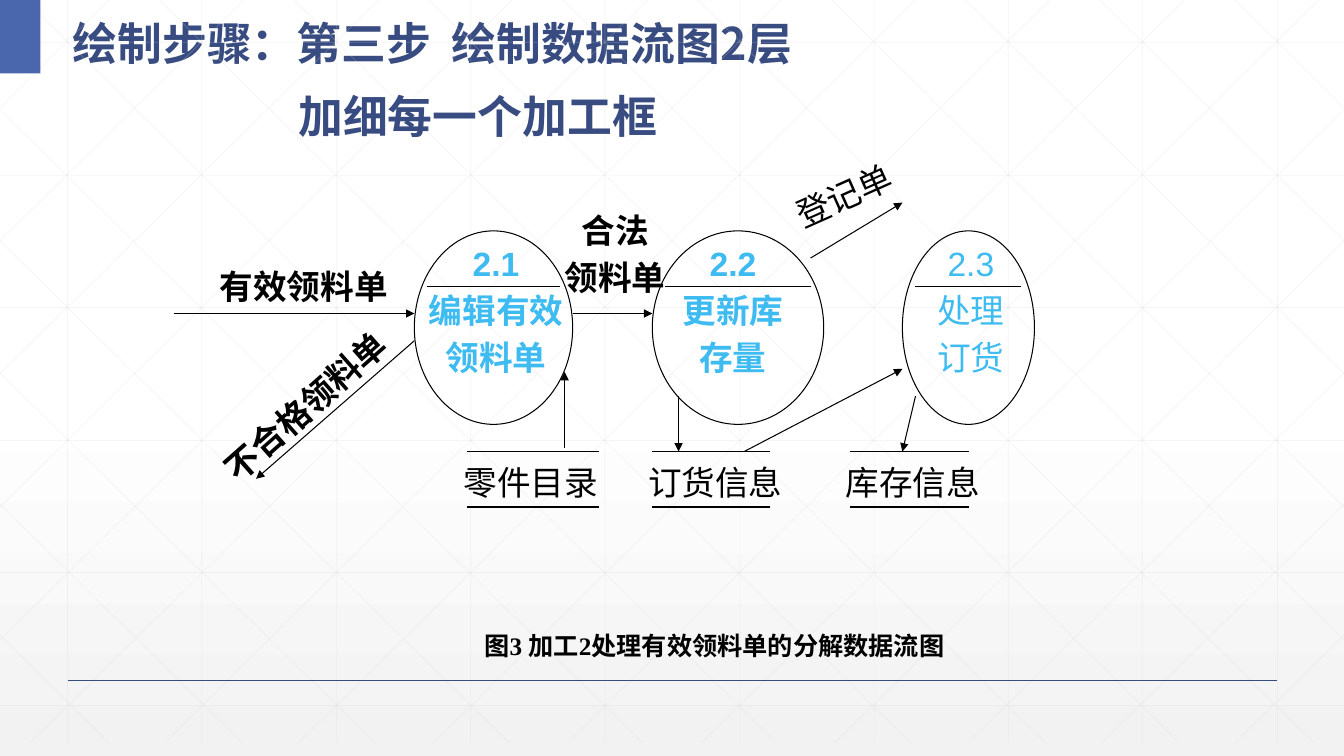
from dataclasses import dataclass

from lxml import etree
from pptx import Presentation
from pptx.dml.color import RGBColor
from pptx.enum.shapes import MSO_CONNECTOR, MSO_SHAPE
from pptx.enum.text import MSO_ANCHOR, MSO_AUTO_SIZE, PP_ALIGN
from pptx.oxml import parse_xml
from pptx.oxml.ns import nsdecls, qn
from pptx.util import Emu, Pt

STRAIGHT = MSO_CONNECTOR.STRAIGHT
RECT, OVAL = MSO_SHAPE.RECTANGLE, MSO_SHAPE.OVAL
LEFT, CENTER = PP_ALIGN.LEFT, PP_ALIGN.CENTER
TOP, MIDDLE = MSO_ANCHOR.TOP, MSO_ANCHOR.MIDDLE

PX = 9144
WIDTH, HEIGHT = 1333, 750
GRID_BOTTOM = 737
BLACK, NAVY, BLUE, SKY, GREY = "000000", "384C81", "4A66AC", "3EBBF0", "D9D9D9"
CJK = "Noto Sans CJK SC"
HEADING = {"size": Pt(32), "bold": True, "name": CJK}
CAPTION = {"size": Pt(18), "bold": True, "name": "Times New Roman"}
STRONG = {"size": Pt(24), "bold": True, "name": "Arial"}
PLAIN = {"size": Pt(24), "bold": False, "name": "Arial"}


@dataclass
class Label:
    box: tuple[int, int, int, int]
    lines: list[str]
    style: dict
    color: str = BLACK
    align: PP_ALIGN = CENTER
    rotation: float = 0


@dataclass
class Process:
    oval: tuple[int, int]
    rule: tuple[int, int]
    text: tuple[int, int]
    lines: list[str]
    style: dict


@dataclass
class Store:
    rule: tuple[int, int]
    text: tuple[int, int]
    name: str


LABELS = [
    Label((295, 620, 827, 39), ["图3 加工2处理有效领料单的分解数据流图"], CAPTION),
    Label((208, 259, 192, 50), ["有效领料单"], STRONG, align=LEFT),
    Label((547, 203, 126, 98), ["合法", "领料单"], STRONG),
    Label((774, 169, 126, 50), ["登记单"], PLAIN, rotation=336),
    Label((185, 378, 236, 50), ["不合格领料单"], STRONG, rotation=318.5),
]
PROCESSES = [
    Process((411, 157), (424, 555), (412, 160), ["2.1", "编辑有效", "领料单"], STRONG),
    Process((647, 170), (660, 804), (664, 126), ["2.2", "更新库", "存量"], STRONG),
    Process((895, 131), (908, 1013), (900, 126), ["2.3", "处理", "订货"], PLAIN),
]
STORES = [
    Store((463, 594), (450, 168), "零件目录"),
    Store((647, 764), (633, 160), "订货信息"),
    Store((843, 961), (829, 160), "库存信息"),
]
FLOWS = [
    (908, 393, 895, 448),
    (738, 448, 895, 366),
    (173, 311, 411, 311),
    (568, 311, 647, 311),
    (804, 256, 895, 201),
    (411, 338, 254, 475),
    (673, 393, 673, 448),
    (560, 444, 560, 369),
]


def px(n: float) -> Emu:
    return Emu(round(n) * PX)


def rgb(color: str) -> RGBColor:
    return RGBColor.from_string(color)


def add_line(s, ends: tuple, color: str = BLACK, width: float = 0.75,
             alpha: int = 100, arrow: bool = False) -> None:
    c = s.shapes.add_connector(STRAIGHT, *map(px, ends))
    c.line.color.rgb = rgb(color)
    c.line.width = Pt(width)
    pr = c._element.spPr
    if alpha < 100:
        tint = pr.find(".//" + qn("a:srgbClr"))
        etree.SubElement(tint, qn("a:alpha")).set("val", str(alpha * 1000))
    if arrow:
        etree.SubElement(pr.find(qn("a:ln")), qn("a:tailEnd")).set("type", "triangle")
    etree.SubElement(pr, qn("a:effectLst"))


def add_run(p, text: str, style: dict, color: str, spacing: int = 0) -> None:
    r = p.add_run()
    r.text = text
    for key, value in style.items():
        setattr(r.font, key, value)
    r.font.color.rgb = rgb(color)
    pr = r._r.get_or_add_rPr()
    ea = etree.Element(qn("a:ea"))
    ea.set("typeface", CJK)
    pr.find(qn("a:latin")).addnext(ea)
    if spacing:
        pr.set("spc", str(spacing))


def set_frame(tf, anchor: MSO_ANCHOR) -> None:
    frame = {"word_wrap": True, "auto_size": MSO_AUTO_SIZE.NONE, "vertical_anchor": anchor}
    for key, value in frame.items():
        setattr(tf, key, value)


def add_label(s, label: Label) -> None:
    sp = s.shapes.add_textbox(*map(px, label.box))
    sp.rotation = label.rotation
    tf = sp.text_frame
    set_frame(tf, TOP)
    for i, text in enumerate(label.lines):
        p = tf.add_paragraph() if i else tf.paragraphs[0]
        p.alignment = label.align
        p.space_before = Pt(4.8 if i else 0)
        add_run(p, text, label.style, label.color)


def add_background(s) -> None:
    s.background.fill.solid()
    pr = s.background._cSld.bg.bgPr
    pr.replace(pr[0], parse_xml(
        f'<a:gradFill {nsdecls("a")} rotWithShape="1"><a:gsLst>'
        '<a:gs pos="0"><a:srgbClr val="FFFFFF"/></a:gs>'
        '<a:gs pos="53000"><a:srgbClr val="FFFFFF"/></a:gs>'
        '<a:gs pos="100000"><a:srgbClr val="F2F2F2"><a:alpha val="65000"/></a:srgbClr></a:gs>'
        '</a:gsLst><a:lin ang="5400000" scaled="0"/></a:gradFill>'))
    step = WIDTH / 10
    grid = [(67 + step * i, 0, 67 + step * i, GRID_BOTTOM) for i in range(10)]
    grid += [(0, 42 + 131.6 * i, WIDTH, 42 + 131.6 * i) for i in range(6)]
    slopes = []
    for i in range(10):
        x = 25 + step * i
        run = min(745, WIDTH - x)
        slopes.append((x, 0, x + run, run * GRID_BOTTOM / 745))
    slopes += [(637 - 132.25 * i, GRID_BOTTOM, 0, 109 + 130.25 * i) for i in range(5)]
    mirrored = [(WIDTH - x1, y1, WIDTH - x2, y2) for x1, y1, x2, y2 in slopes]
    for ends in grid + slopes + mirrored:
        add_line(s, ends, GREY, 0.5, 25)
    add_line(s, (67, 675, 1267, 675), NAVY, 1)
    sp = s.shapes.add_shape(RECT, 0, 0, px(40), px(73))
    sp.shadow.inherit = False
    sp.fill.solid()
    sp.fill.fore_color.rgb = rgb(BLUE)
    sp.line.fill.background()


def add_heading(sp, box: tuple, runs: list) -> None:
    sp.left, sp.top, sp.width, sp.height = map(px, box)
    tf = sp.text_frame
    set_frame(tf, MIDDLE)
    p = tf.paragraphs[0]
    p.alignment = LEFT
    p.line_spacing = 1.3
    for text, spacing in runs:
        add_run(p, text, HEADING, NAVY, spacing)


def add_process(s, item: Process) -> None:
    x, w = item.oval
    sp = s.shapes.add_shape(OVAL, *map(px, (x, 229, w, 192)))
    sp.shadow.inherit = False
    sp.fill.background()
    sp.line.color.rgb = rgb(BLACK)
    sp.line.width = Pt(0.75)
    add_line(s, (item.rule[0], 284, item.rule[1], 284))
    x, w = item.text
    add_label(s, Label((x, 236, w, 143), item.lines, item.style, SKY))


def add_store(s, item: Store) -> None:
    for y in (448, 503):
        add_line(s, (item.rule[0], y, item.rule[1], y))
    x, w = item.text
    add_label(s, Label((x, 453, w, 50), [item.name], PLAIN, align=LEFT))


def main() -> None:
    prs = Presentation()
    prs.slide_width, prs.slide_height = px(WIDTH), px(HEIGHT)
    s = prs.slides.add_slide(prs.slide_layouts[5])
    add_background(s)
    add_heading(s.shapes.title, (62, 0, 859, 68),
                [("绘制步骤：第三步", 0), (" ", 700), ("绘制数据流图2层", 0)])
    add_heading(s.shapes.add_textbox(0, 0, 0, 0), (286, 70, 569, 73),
                [("加细每一个加工框", 0)])
    for ends in FLOWS:
        add_line(s, ends, arrow=True)
    for process in PROCESSES:
        add_process(s, process)
    for store in STORES:
        add_store(s, store)
    for label in LABELS:
        add_label(s, label)
    prs.save("out.pptx")


if __name__ == "__main__":
    main()
